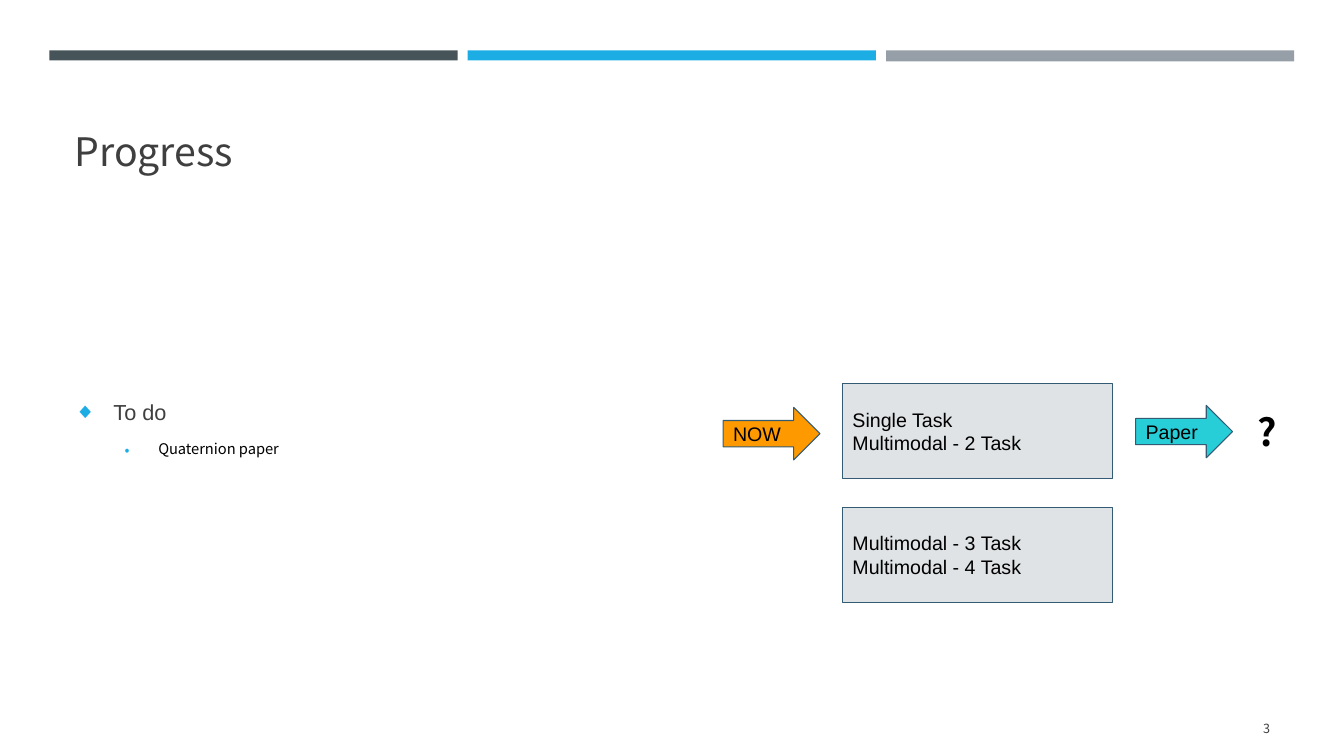
from dataclasses import dataclass

from lxml.etree import SubElement
from pptx import Presentation
from pptx.dml.color import RGBColor
from pptx.enum.shapes import MSO_SHAPE
from pptx.enum.text import MSO_ANCHOR, MSO_AUTO_SIZE, PP_ALIGN
from pptx.oxml.ns import qn
from pptx.slide import Slide
from pptx.text.text import TextFrame
from pptx.util import Pt

COLORS = {
    "slate": "465359", "blue": "1CADE4", "gray": "969FA7",
    "box": "DFE3E5", "outline": "335B74", "now": "FF9900", "paper": "27CED7",
    "text": "3F3F3F", "black": "000000",
}
SANS = "Noto Sans CJK KR"
ARIAL = "Arial"


@dataclass
class Bar:
    color: str
    height: float


@dataclass
class Block:
    kind: MSO_SHAPE
    left: float
    top: float
    width: float
    height: float
    fill: str
    text: str


@dataclass
class Label:
    left: float
    top: float
    width: float
    height: float
    text: str
    size: float
    color: str
    bold: bool
    anchor: MSO_ANCHOR
    align: PP_ALIGN
    inset: float


@dataclass
class Bullet:
    text: str
    char: str
    level: int
    margin: float
    hang: float
    before: float
    font: str
    size: float
    color: str


BARS = [Bar("slate", 7.2), Bar("blue", 7.2), Bar("gray", 7.9)]
BAR_LEFT, BAR_STEP, BAR_WIDTH = 35.3, 298.8, 291.6

BLOCKS = [
    Block(MSO_SHAPE.RECTANGLE, 601.8, 274, 193, 68, "box",
          "Single Task\nMultimodal - 2 Task"),
    Block(MSO_SHAPE.RECTANGLE, 601.8, 362.3, 193, 68, "box",
          "Multimodal - 3 Task\nMultimodal - 4 Task"),
    Block(MSO_SHAPE.RIGHT_ARROW, 516.5, 291, 69.2, 37.5, "now", "NOW"),
    Block(MSO_SHAPE.RIGHT_ARROW, 811.2, 289.5, 69.2, 37.5, "paper", "Paper"),
]

LABELS = [
    Label(831.6, 506.2, 82.8, 28.8, "3", 9, "text", False,
          MSO_ANCHOR.MIDDLE, PP_ALIGN.RIGHT, 3.6),
    Label(891.4, 284.4, 59.8, 47.5, "?", 27, "black", True,
          MSO_ANCHOR.TOP, PP_ALIGN.LEFT, 7.2),
]

BULLETS = [
    Bullet("To do", "◆", 0, 28, 28, 0, ARIAL, 15.5, "text"),
    Bullet("Quaternion paper", "•", 1, 60, 24, 12, SANS, 10.5, "black"),
]


def rgb(name: str) -> RGBColor:
    return RGBColor.from_string(COLORS[name])


def set_frame(tf: TextFrame, anchor: MSO_ANCHOR, inset: float) -> None:
    tf.word_wrap = True
    tf.auto_size = MSO_AUTO_SIZE.NONE
    tf.vertical_anchor = anchor
    tf.margin_left = tf.margin_right = Pt(7.2)
    tf.margin_top = tf.margin_bottom = Pt(inset)


def format_text(tf: TextFrame, font: str, size: float, color: str,
                align: PP_ALIGN = PP_ALIGN.LEFT, bold: bool = False) -> None:
    for p in tf.paragraphs:
        p.alignment = align
        for r in p.runs:
            r.font.name = font
            r.font.size = Pt(size)
            r.font.bold = bold
            r.font.color.rgb = rgb(color)


def add_bar(s: Slide, index: int, bar: Bar) -> None:
    sp = s.shapes.add_shape(MSO_SHAPE.RECTANGLE, Pt(BAR_LEFT + index * BAR_STEP),
                            Pt(36), Pt(BAR_WIDTH), Pt(bar.height))
    sp.shadow.inherit = False
    sp.fill.solid()
    sp.fill.fore_color.rgb = rgb(bar.color)
    sp.line.fill.background()


def add_title(s: Slide, text: str) -> None:
    sp = s.shapes.title
    sp.left, sp.top, sp.width, sp.height = Pt(46), Pt(55.4), Pt(868.3), Pt(72.7)
    tf = sp.text_frame
    tf.text = text
    set_frame(tf, MSO_ANCHOR.BOTTOM, 3.6)
    format_text(tf, SANS, 28, "text")


def add_block(s: Slide, block: Block) -> None:
    sp = s.shapes.add_shape(block.kind, Pt(block.left), Pt(block.top),
                            Pt(block.width), Pt(block.height))
    sp.shadow.inherit = False
    sp.fill.solid()
    sp.fill.fore_color.rgb = rgb(block.fill)
    sp.line.color.rgb = rgb("outline")
    sp.line.width = Pt(0.75)
    tf = sp.text_frame
    tf.text = block.text
    set_frame(tf, MSO_ANCHOR.MIDDLE, 7.2)
    format_text(tf, ARIAL, 14, "black")


def add_label(s: Slide, label: Label) -> None:
    sp = s.shapes.add_textbox(Pt(label.left), Pt(label.top),
                              Pt(label.width), Pt(label.height))
    tf = sp.text_frame
    tf.text = label.text
    set_frame(tf, label.anchor, label.inset)
    format_text(tf, SANS, label.size, label.color, label.align, label.bold)


def add_bullets(s: Slide, bullets: list[Bullet]) -> None:
    sp = s.shapes.add_textbox(Pt(46), Pt(283.4), Pt(440), Pt(60))
    tf = sp.text_frame
    tf.text = "\n".join(b.text for b in bullets)
    set_frame(tf, MSO_ANCHOR.TOP, 3.6)
    for p, b in zip(tf.paragraphs, bullets):
        pPr = p._p.get_or_add_pPr()
        pPr.set("marL", str(Pt(b.margin)))
        pPr.set("indent", str(-Pt(b.hang)))
        clr = SubElement(pPr, qn("a:buClr"))
        SubElement(clr, qn("a:srgbClr"), val=COLORS["blue"])
        SubElement(pPr, qn("a:buFont"), typeface=b.font)
        SubElement(pPr, qn("a:buChar"), char=b.char)
        p.level = b.level
        p.line_spacing = 0.9
        p.space_before = Pt(b.before)
        r = p.runs[0]
        r.font.name = b.font
        r.font.size = Pt(b.size)
        r.font.color.rgb = rgb(b.color)


def main() -> None:
    prs = Presentation()
    prs.slide_width, prs.slide_height = Pt(960), Pt(540)
    s = prs.slides.add_slide(prs.slide_layouts[5])
    for index, bar in enumerate(BARS):
        add_bar(s, index, bar)
    add_title(s, "Progress")
    add_bullets(s, BULLETS)
    for block in BLOCKS:
        add_block(s, block)
    for label in LABELS:
        add_label(s, label)
    prs.save("out.pptx")


if __name__ == "__main__":
    main()
